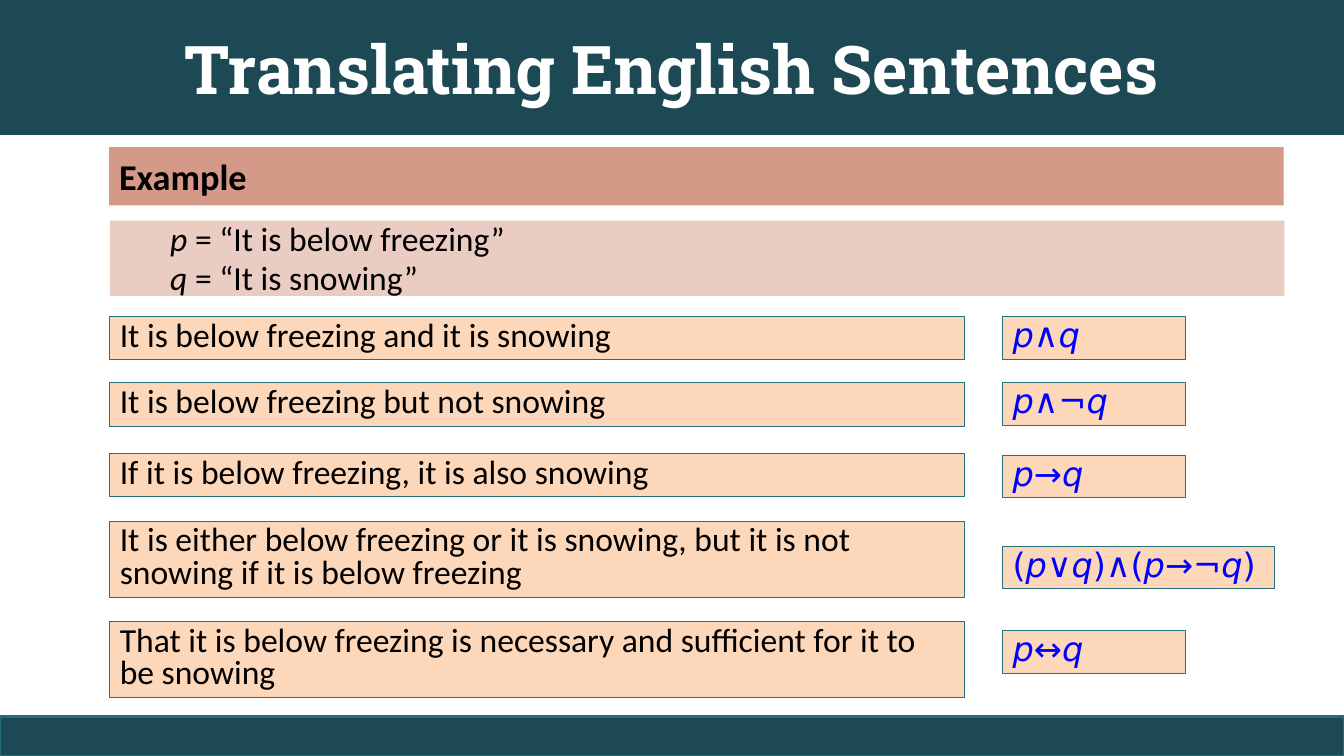
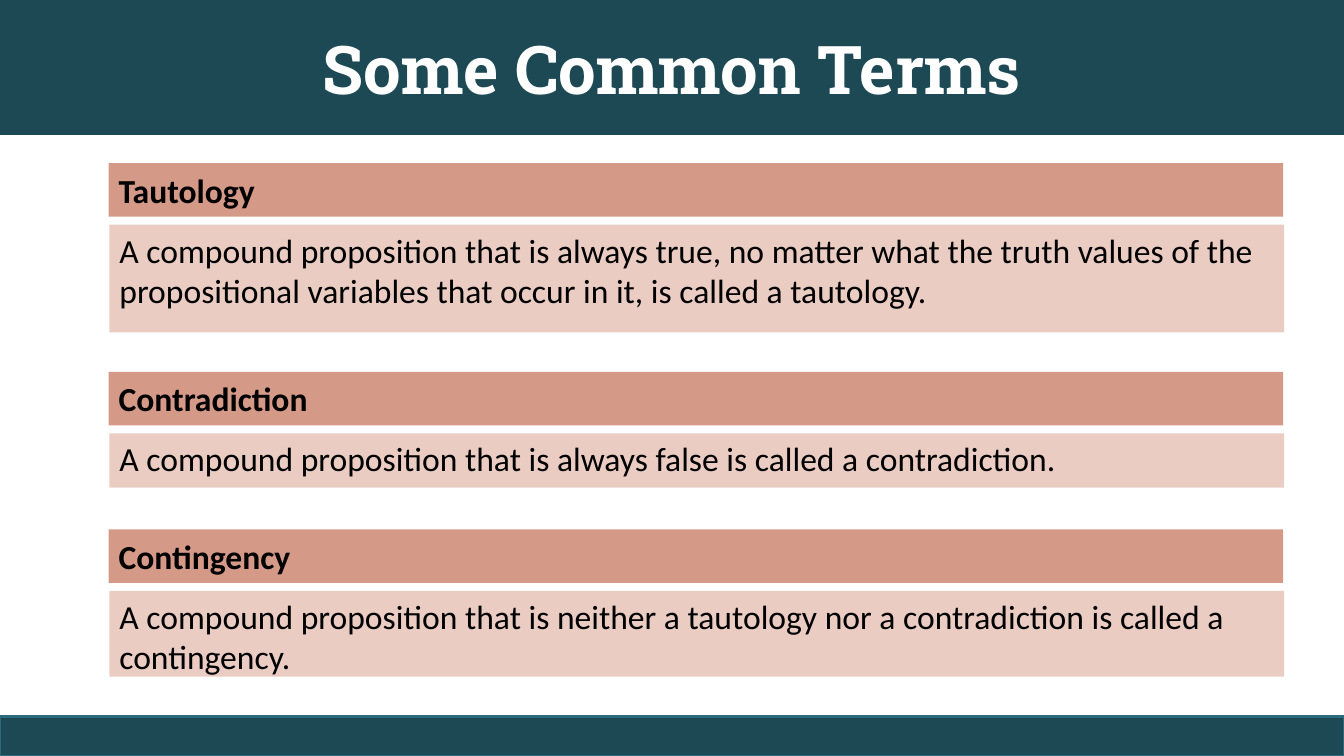
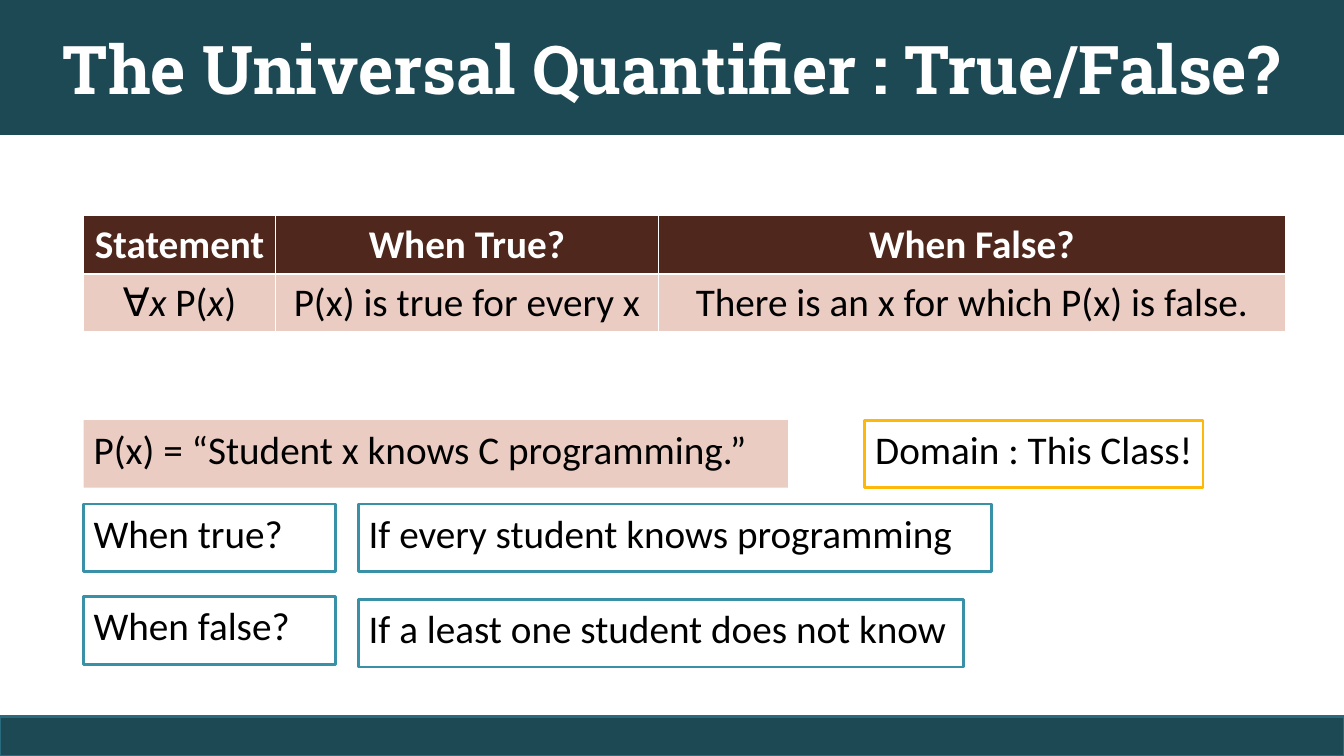
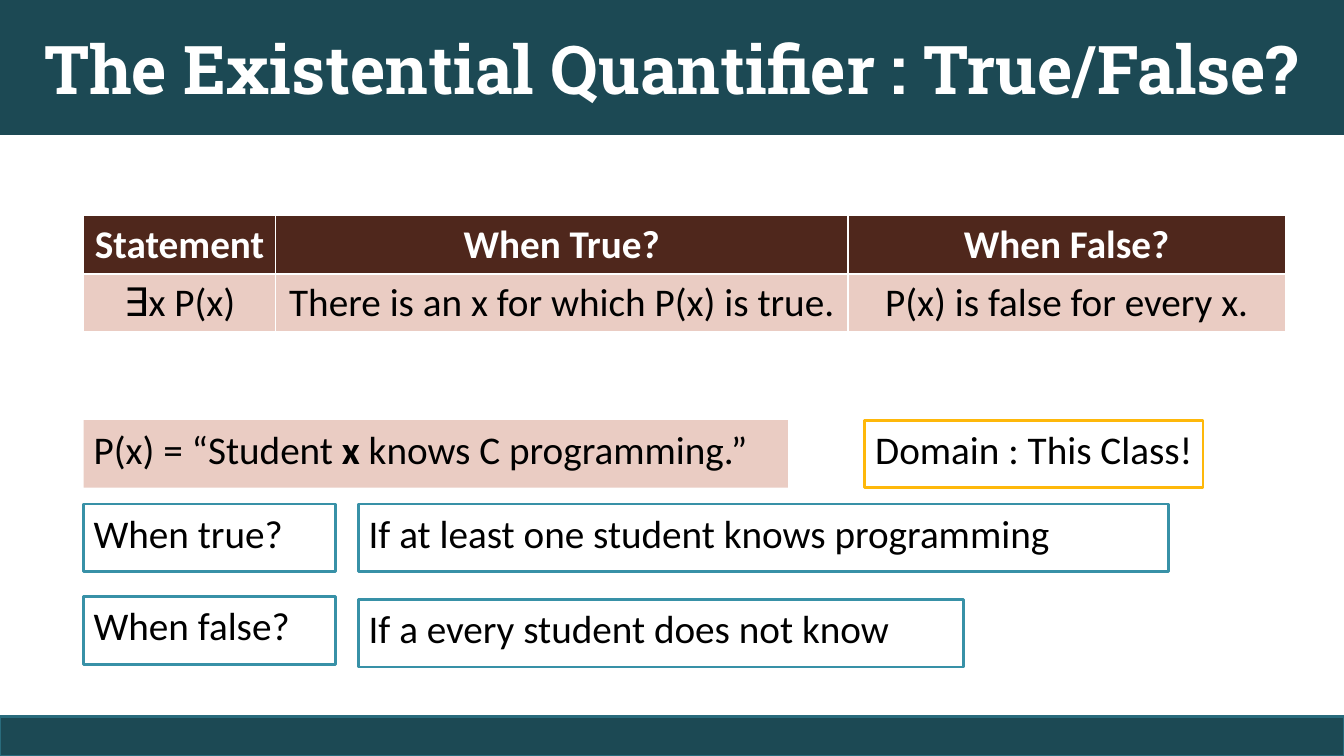
"""Build four lecture slides on propositional logic and quantifiers."""
import pptx
import pptx.dml.color
import pptx.enum.shapes
import pptx.enum.text
import pptx.util

Cm = pptx.util.Cm
Pt = pptx.util.Pt
RGBColor = pptx.dml.color.RGBColor
RECTANGLE = pptx.enum.shapes.MSO_SHAPE.RECTANGLE
ANCHOR = pptx.enum.text.MSO_ANCHOR
CENTER = pptx.enum.text.PP_ALIGN.CENTER

BLACK = RGBColor(0x00, 0x00, 0x00)
WHITE = RGBColor(0xFF, 0xFF, 0xFF)
BLUE = RGBColor(0x00, 0x00, 0xFF)
DARK_TEAL = RGBColor(0x1C, 0x49, 0x54)
FOOTER_EDGE = RGBColor(0x29, 0x6B, 0x7C)
TEAL = RGBColor(0x2A, 0x6D, 0x7D)
LIGHT_TEAL = RGBColor(0x38, 0x91, 0xA7)
AMBER = RGBColor(0xFE, 0xB8, 0x0A)
CLAY = RGBColor(0xD5, 0x99, 0x88)
ROSE = RGBColor(0xEA, 0xCC, 0xC3)
PEACH = RGBColor(0xFD, 0xD7, 0xBA)
BROWN = RGBColor(0x4F, 0x27, 0x1C)


def write_text(para, text, size, color=BLACK, bold=False, name="Calibri", emphasis="italic"):
    """Write text in which underscores enclose the emphasised spans."""
    para.font.name = name
    para.font.size = Pt(size)
    para.font.bold = bold
    para.font.color.rgb = color
    for index, piece in enumerate(text.split("_")):
        if piece:
            span = para.add_run()
            span.text = piece
            if index % 2:
                setattr(span.font, emphasis, True)


def add_box(page, left, top, width, height, fill, line=None, line_width=2, text="",
            size=24, spacing=None, **style):
    """Add a filled rectangle with one paragraph per line of text."""
    box = page.shapes.add_shape(RECTANGLE, Cm(left), Cm(top), Cm(width), Cm(height))
    box.shadow.inherit = False
    box.fill.solid()
    box.fill.fore_color.rgb = fill
    if line is None:
        box.line.fill.background()
    else:
        box.line.color.rgb = line
        box.line.width = Pt(line_width)
    frame = box.text_frame
    frame.word_wrap = True
    frame.vertical_anchor = ANCHOR.TOP
    for index, words in enumerate(text.split("\n") if text else []):
        para = frame.add_paragraph() if index else frame.paragraphs[0]
        para.alignment = pptx.enum.text.PP_ALIGN.LEFT
        para.line_spacing = spacing
        if index:
            para.space_before = Pt(5)
        write_text(para, words, size, **style)
    return box


deck = pptx.Presentation()
deck.slide_width = Cm(33.87)
deck.slide_height = Cm(19.05)

pages = []
for heading in ("Translating English Sentences", "Some Common Terms",
                "The Universal Quantifier : True/False?",
                "The Existential Quantifier : True/False?"):
    page = deck.slides.add_slide(deck.slide_layouts[5])
    title = page.shapes.title
    title.left, title.top, title.width, title.height = 0, 0, deck.slide_width, Cm(3.4)
    title.fill.solid()
    title.fill.fore_color.rgb = DARK_TEAL
    title.text_frame.auto_size = pptx.enum.text.MSO_AUTO_SIZE.NONE
    title.text_frame.vertical_anchor = ANCHOR.MIDDLE
    title.text_frame.paragraphs[0].alignment = CENTER
    write_text(title.text_frame.paragraphs[0], heading, 48, WHITE, True, "Roboto Slab")
    add_box(page, 0, 18.06, 33.87, 0.99, DARK_TEAL, FOOTER_EDGE)
    pages.append(page)
translation_page, terms_page, *quantifier_pages = pages

add_box(translation_page, 2.75, 3.71, 29.6, 1.47, CLAY, text="Example",
        size=25.9, spacing=1.04, bold=True)
definitions = add_box(translation_page, 2.77, 5.56, 29.6, 1.9, ROSE, spacing=0.8,
                      text="_p_ = “It is below freezing”\n_q_ = “It is snowing”")
definitions.text_frame.margin_left = Cm(1.52)

translations = [
    ("It is below freezing and it is snowing", 7.98, 1.09, "_p_∧_q_", 7.98, 4.6),
    ("It is below freezing but not snowing", 9.65, 1.09, "_p_∧¬_q_", 9.65, 4.6),
    ("If it is below freezing, it is also snowing", 11.43, 1.09, "_p_→_q_", 11.48, 4.6),
    ("It is either below freezing or it is snowing, but it is not snowing if it is "
     "below freezing", 13.13, 1.93, "(_p_∨_q_)∧(_p_→¬_q_)", 13.77, 6.86),
    ("That it is below freezing is necessary and sufficient for it to be snowing",
     15.67, 1.91, "_p_↔_q_", 15.9, 4.6),
]
for sentence, top, height, formula, formula_top, formula_width in translations:
    add_box(translation_page, 2.77, top, 21.54, height, PEACH, TEAL, 0.75,
            sentence, spacing=0.8)
    add_box(translation_page, 25.27, formula_top, formula_width, 1.07, PEACH, TEAL, 0.75,
            formula, spacing=0.8, color=BLUE, name="DejaVu Sans")

terms = [
    ("Tautology", 4.11, 2.72,
     "A compound proposition that is always true, no matter what the truth values of the "
     "propositional variables that occur in it, is called a tautology."),
    ("Contradiction", 9.37, 1.37,
     "A compound proposition that is always false is called a contradiction."),
    ("Contingency", 13.34, 2.16,
     "A compound proposition that is neither a tautology nor a contradiction is called a "
     "contingency."),
]
for term, top, height, meaning in terms:
    add_box(terms_page, 2.74, top, 29.6, 1.35, CLAY, text=term, spacing=1.04, bold=True)
    add_box(terms_page, 2.76, top + 1.55, 29.6, height, ROSE, text=meaning)

quantifiers = [
    (("∀_x_ P(_x_)", "P(x) is true for every x", "There is an x for which P(x) is false."),
     (4.83, 9.65, 15.8), "P(x) = “Student x knows C programming.”",
     "If every student knows programming", 15.95, "If a least one student does not know"),
    (("∃x P(x)", "There is an x for which P(x) is true.", "P(x) is false for every x."),
     (4.83, 14.43, 11.02), "P(x) = “Student _x_ knows C programming.”",
     "If at least one student knows programming", 20.4, "If a every student does not know"),
]
for page, quantifier in zip(quantifier_pages, quantifiers):
    statement, widths, predicate, when_true, true_width, when_false = quantifier
    table = page.shapes.add_table(2, 3, Cm(2.11), Cm(5.44), Cm(sum(widths)), Cm(2.9)).table
    for column, width in zip(table.columns, widths):
        column.width = Cm(width)
    rows = [(("Statement", "When True?", "When False?"), BROWN, WHITE, True),
            (statement, ROSE, BLACK, False)]
    for row, (texts, fill, color, bold) in enumerate(rows):
        for column, text in enumerate(texts):
            cell = table.cell(row, column)
            cell.fill.solid()
            cell.fill.fore_color.rgb = fill
            cell.text_frame.paragraphs[0].alignment = CENTER
            write_text(cell.text_frame.paragraphs[0], text, 28, color, bold)

    add_box(page, 2.11, 10.59, 17.75, 1.7, ROSE, text=predicate, size=28, emphasis="bold")
    domain = add_box(page, 21.79, 10.59, 8.53, 1.7, WHITE, AMBER,
                     text="Domain : This Class!", size=28)
    domain.text_frame.paragraphs[0].alignment = CENTER
    for left, top, width, text in ((2.11, 12.7, 6.35, "When true?"),
                                   (2.11, 15.04, 6.35, "When false?"),
                                   (9.04, 12.7, true_width, when_true),
                                   (9.04, 15.11, 15.24, when_false)):
        add_box(page, left, top, width, 1.7, WHITE, LIGHT_TEAL, text=text, size=28)

deck.save("out.pptx")
